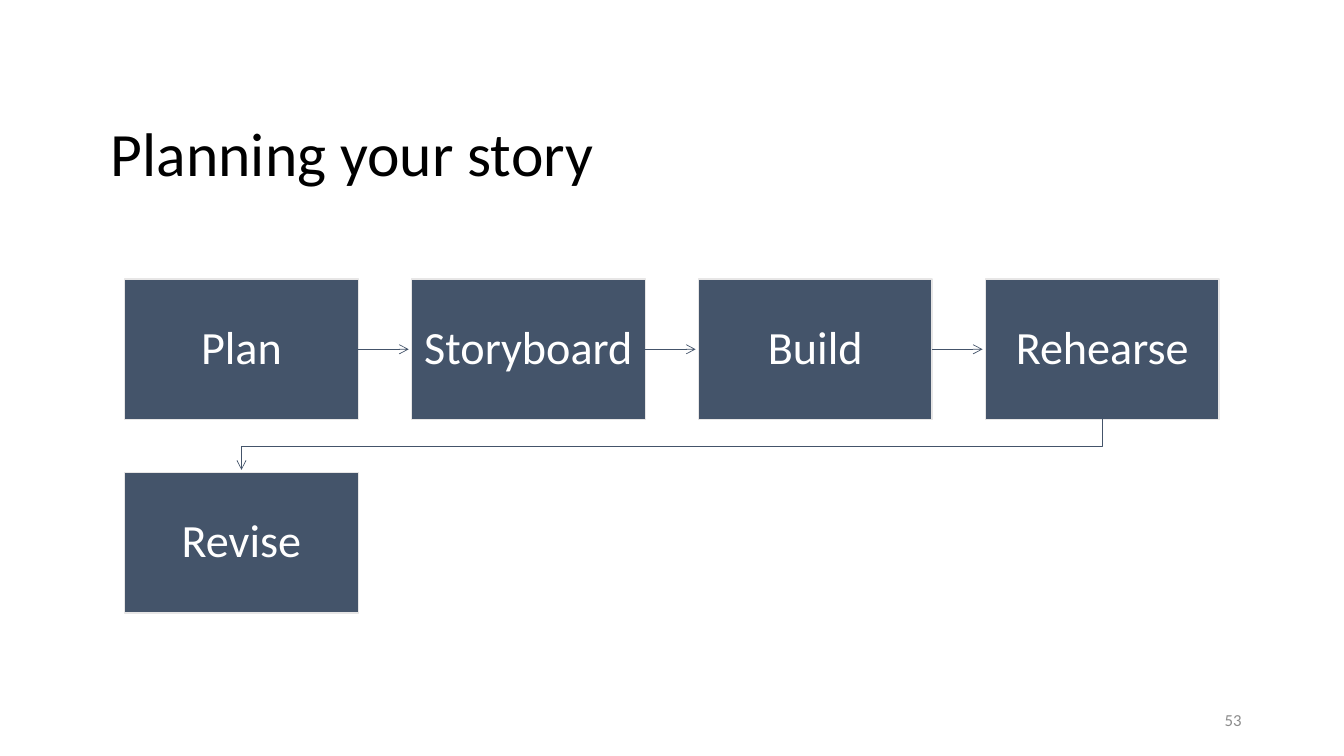
from pptx import Presentation
from pptx.dml.color import RGBColor
from pptx.enum.shapes import MSO_CONNECTOR, MSO_SHAPE
from pptx.enum.text import MSO_ANCHOR, MSO_AUTO_SIZE, PP_ALIGN
from pptx.oxml.ns import qn
from pptx.util import Pt
from lxml.etree import SubElement

COLORS = {"box": "44546A", "edge": "E7E6E6", "light": "FFFFFF",
          "title": "000000", "number": "8C8C8C"}
STEPS = ["Plan", "Storyboard", "Build", "Rehearse", "Revise"]
COLS = 4
LEFT, TOP = 89, 199.4
WIDTH, HEIGHT = 167, 100.2
STEP_X, STEP_Y = 204.95, 138.2
GAP = 2  # space between an arrowhead and its box


def color(name):
    return RGBColor.from_string(COLORS[name])


def place(shape, left, top, width, height):
    shape.left, shape.top = Pt(left), Pt(top)
    shape.width, shape.height = Pt(width), Pt(height)


def write(shape, text, size, tint, align):
    frame = shape.text_frame
    frame.word_wrap = True
    frame.auto_size = MSO_AUTO_SIZE.NONE
    frame.vertical_anchor = MSO_ANCHOR.MIDDLE
    frame.text = text
    para = frame.paragraphs[0]
    para.alignment = align
    para.line_spacing = 0.9
    para.font.name = "Calibri"
    para.font.size = Pt(size)
    para.font.color.rgb = color(tint)


def add_box(shapes, index, text):
    row, col = divmod(index, COLS)
    box = shapes.add_shape(MSO_SHAPE.RECTANGLE,
                           Pt(LEFT + col * STEP_X), Pt(TOP + row * STEP_Y),
                           Pt(WIDTH), Pt(HEIGHT))
    box.shadow.inherit = False
    box.fill.solid()
    box.fill.fore_color.rgb = color("box")
    box.line.color.rgb = color("edge")
    box.line.width = Pt(1)
    write(box, text, 33, "light", PP_ALIGN.CENTER)
    frame = box.text_frame
    frame.margin_left = frame.margin_right = Pt(8)
    frame.margin_top = frame.margin_bottom = Pt(8.6)
    return box


def style_arrow(arrow):
    arrow.line.color.rgb = color("box")
    arrow.line.width = Pt(0.5)
    SubElement(arrow.line._get_or_add_ln(), qn("a:tailEnd"), type="arrow")


def add_arrow(shapes, start, end):
    """Point from the right side of one box to the next in its row."""
    mid = start.top + start.height // 2
    arrow = shapes.add_connector(MSO_CONNECTOR.STRAIGHT,
                                 start.left + start.width, mid,
                                 end.left - Pt(GAP), mid)
    arrow.begin_connect(start, 3)
    style_arrow(arrow)
    SubElement(arrow._element.spPr, qn("a:effectLst"))


def add_return(shapes, start, end):
    """Lead from below the last box of a row to the first of the next."""
    right = start.left + start.width // 2
    left = end.left + end.width // 2
    base = start.top + start.height
    mid = (base + end.top) // 2
    path = shapes.build_freeform(right, base)
    path.add_line_segments([(right, mid), (left, mid),
                            (left, end.top - Pt(GAP))], close=False)
    arrow = path.convert_to_shape()
    arrow.shadow.inherit = False
    arrow.fill.background()
    style_arrow(arrow)


def main():
    deck = Presentation()
    deck.slide_width, deck.slide_height = Pt(960), Pt(540)
    slide = deck.slides.add_slide(deck.slide_layouts[5])
    shapes = slide.shapes

    place(shapes.title, 72, 49, 816, 126)
    write(shapes.title, "Planning your story", 44, "title", PP_ALIGN.LEFT)

    boxes = [add_box(shapes, i, text) for i, text in enumerate(STEPS)]
    for start, end in zip(boxes, boxes[1:]):
        link = add_arrow if start.top == end.top else add_return
        link(shapes, start, end)

    number = shapes.add_textbox(Pt(678), Pt(500.5), Pt(216), Pt(28.8))
    write(number, "53", 12, "number", PP_ALIGN.RIGHT)
    deck.save("out.pptx")


if __name__ == "__main__":
    main()
